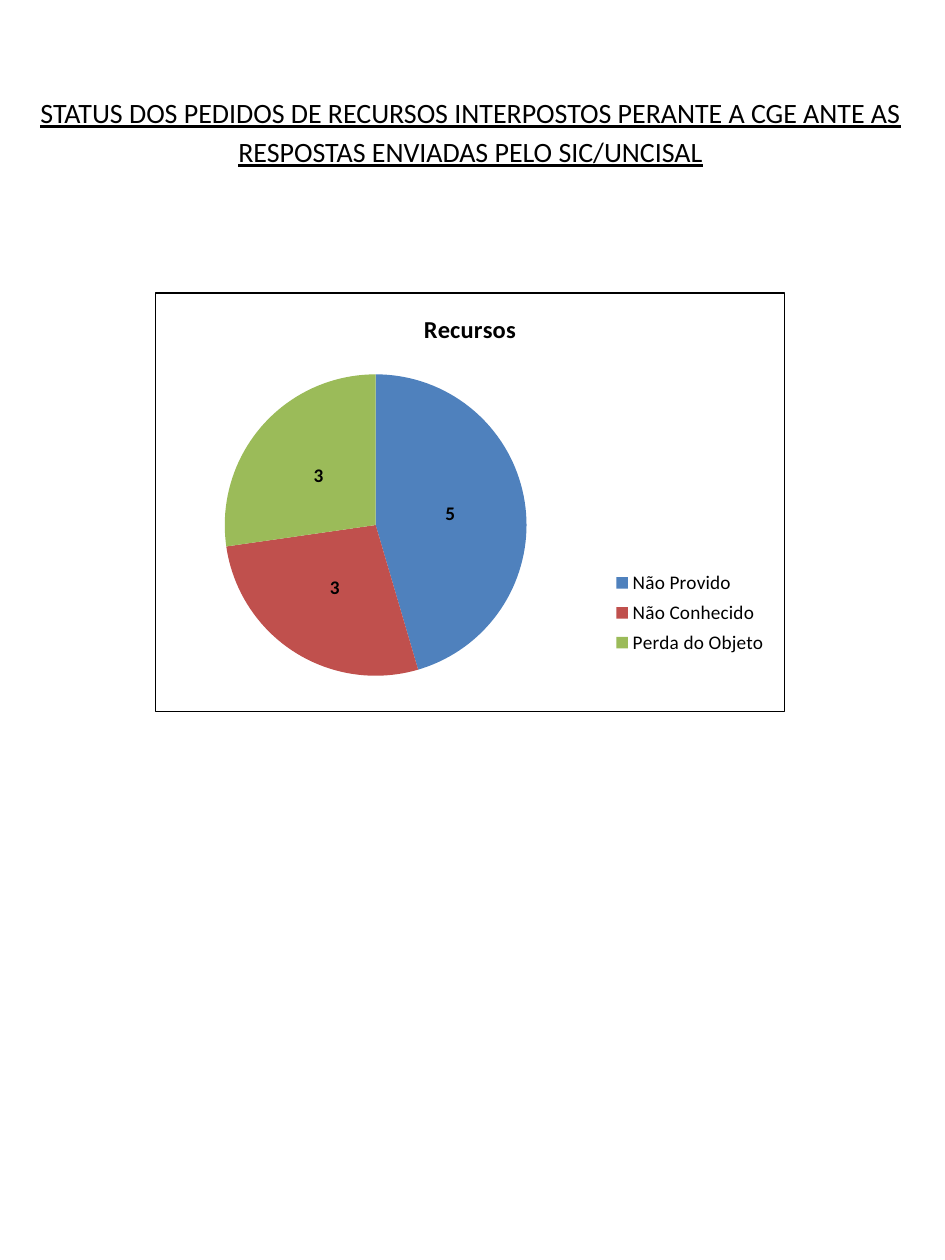
import pptx
import pptx.chart.data
import pptx.dml.color
import pptx.enum.chart
import pptx.enum.text
import pptx.oxml
import pptx.oxml.ns
import pptx.util
from pptx.util import Inches

FONT = "Calibri"
STATUSES = [
    ("Não Provido", 5, "4F81BD"),
    ("Não Conhecido", 3, "C0504D"),
    ("Perda do Objeto", 3, "9BBB59"),
]


def rgb(value):
    return pptx.dml.color.RGBColor.from_string(value)


def set_font(font, size, color="000000", bold=False, underline=None):
    font.name = FONT
    font.size = pptx.util.Pt(size)
    font.color.rgb = rgb(color)
    font.bold = bold
    font.underline = underline


def write(tf, text, align=pptx.enum.text.PP_ALIGN.CENTER, line_spacing=None,
          space_after=0, **font):
    p = tf.paragraphs[0]
    p.alignment = align
    p.line_spacing = line_spacing
    p.space_after = pptx.util.Pt(space_after)
    r = p.add_run()
    r.text = text
    set_font(r.font, **font)


def chart_xml(tag, body):
    return pptx.oxml.parse_xml(
        f'<c:{tag} {pptx.oxml.ns.nsdecls("c", "a")}>{body}</c:{tag}>')


def manual_layout(x, y, w, h, inner=False):
    """Chart layout given in fractions of the chart area."""
    target = '<c:layoutTarget val="inner"/>' if inner else ""
    modes = '<c:xMode val="edge"/><c:yMode val="edge"/>'
    sizes = "".join(f'<c:{k} val="{v}"/>' for k, v in zip("xywh", (x, y, w, h)))
    return chart_xml("layout", f"<c:manualLayout>{target}{modes}{sizes}</c:manualLayout>")


def add_heading(s, left, top, width, height):
    sp = s.shapes.title
    sp.left, sp.top, sp.width, sp.height = left, top, width, height
    tf = sp.text_frame
    tf.word_wrap = True
    tf.auto_size = pptx.enum.text.MSO_AUTO_SIZE.SHAPE_TO_FIT_TEXT
    tf.vertical_anchor = pptx.enum.text.MSO_ANCHOR.TOP
    write(tf, "STATUS DOS PEDIDOS DE RECURSOS INTERPOSTOS PERANTE A CGE ANTE AS "
          "RESPOSTAS ENVIADAS PELO SIC/UNCISAL",
          line_spacing=1.15, space_after=10, size=16, underline=True)


def style_legend(chart):
    chart.has_legend = True
    legend = chart.legend
    legend.position = pptx.enum.chart.XL_LEGEND_POSITION.RIGHT
    legend.include_in_layout = False
    set_font(legend.font, 11)
    position = chart._chartSpace.find(".//" + pptx.oxml.ns.qn("c:legendPos"))
    position.addnext(manual_layout(0.72, 0.65, 0.26, 0.23))


def style_frame(chart, color="000000", width=0.75):
    """Outline the whole chart area and place the pie in it."""
    space = chart._chartSpace
    line = (f'<a:solidFill><a:srgbClr val="FFFFFF"/></a:solidFill>'
            f'<a:ln w="{pptx.util.Pt(width)}"><a:solidFill>'
            f'<a:srgbClr val="{color}"/></a:solidFill></a:ln>')
    space.find(pptx.oxml.ns.qn("c:chart")).addnext(chart_xml("spPr", line))
    area = space.find(".//" + pptx.oxml.ns.qn("c:plotArea"))
    for layout in area.findall(pptx.oxml.ns.qn("c:layout")):
        area.remove(layout)
    area.insert(0, manual_layout(0.11, 0.19, 0.48, 0.73, inner=True))


def add_status_pie(s, left, top, width, height):
    data = pptx.chart.data.CategoryChartData()
    data.categories = [name for name, _, _ in STATUSES]
    data.add_series("Recursos", [count for _, count, _ in STATUSES])
    chart = s.shapes.add_chart(pptx.enum.chart.XL_CHART_TYPE.PIE,
                               left, top, width, height, data).chart
    set_font(chart.font, 18)
    chart.has_title = True
    write(chart.chart_title.text_frame, "Recursos", size=14, bold=True)

    plot = chart.plots[0]
    plot.vary_by_categories = True
    for i, (_, _, color) in enumerate(STATUSES):
        fill = plot.series[0].points[i].format.fill
        fill.solid()
        fill.fore_color.rgb = rgb(color)
    labels = plot.series[0].data_labels
    labels.show_value = True
    labels.position = pptx.enum.chart.XL_LABEL_POSITION.CENTER
    set_font(labels.font, 11, bold=True)

    style_legend(chart)
    style_frame(chart)


def main():
    prs = pptx.Presentation()
    prs.slide_width, prs.slide_height = Inches(7.5), Inches(10)
    s = prs.slides.add_slide(prs.slide_layouts[5])
    add_heading(s, Inches(0.13), Inches(0.67), Inches(7.21), Inches(0.72))
    add_status_pie(s, Inches(1.23), Inches(2.32), Inches(5), Inches(3.33))
    prs.save("out.pptx")


if __name__ == "__main__":
    main()
